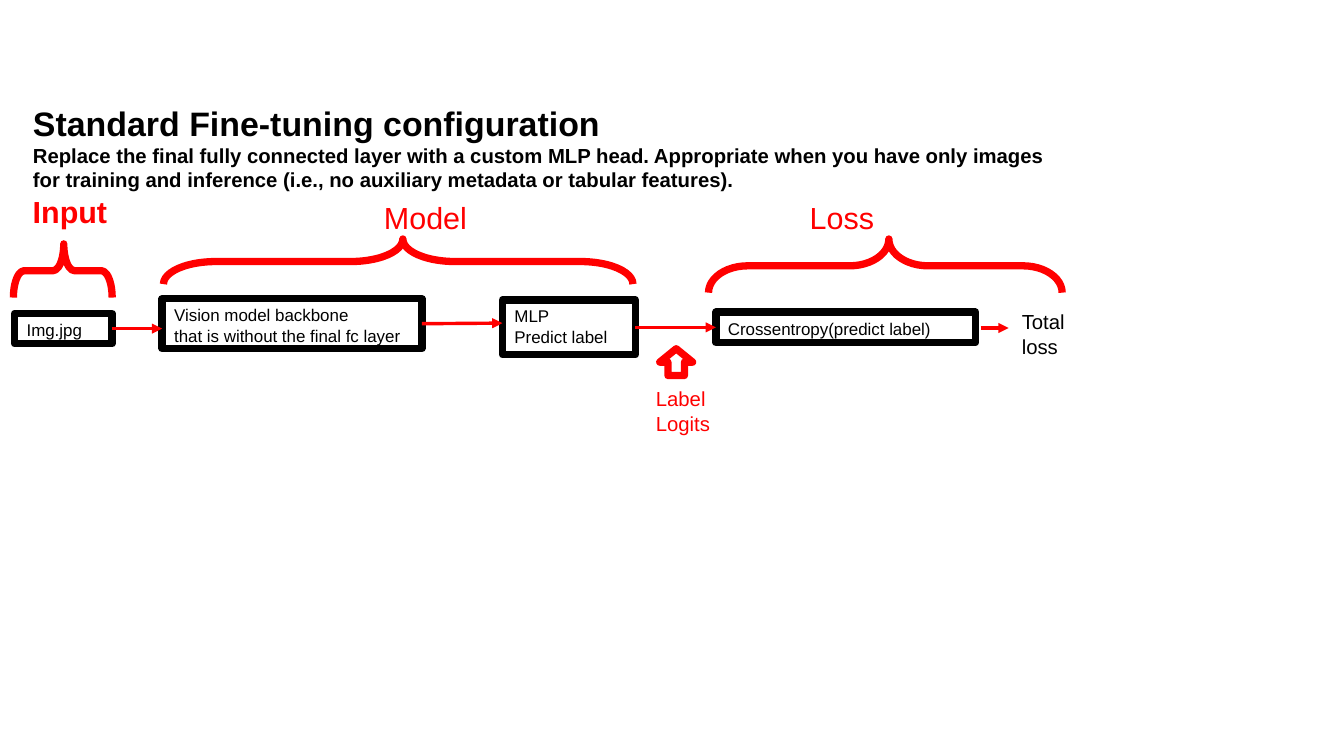
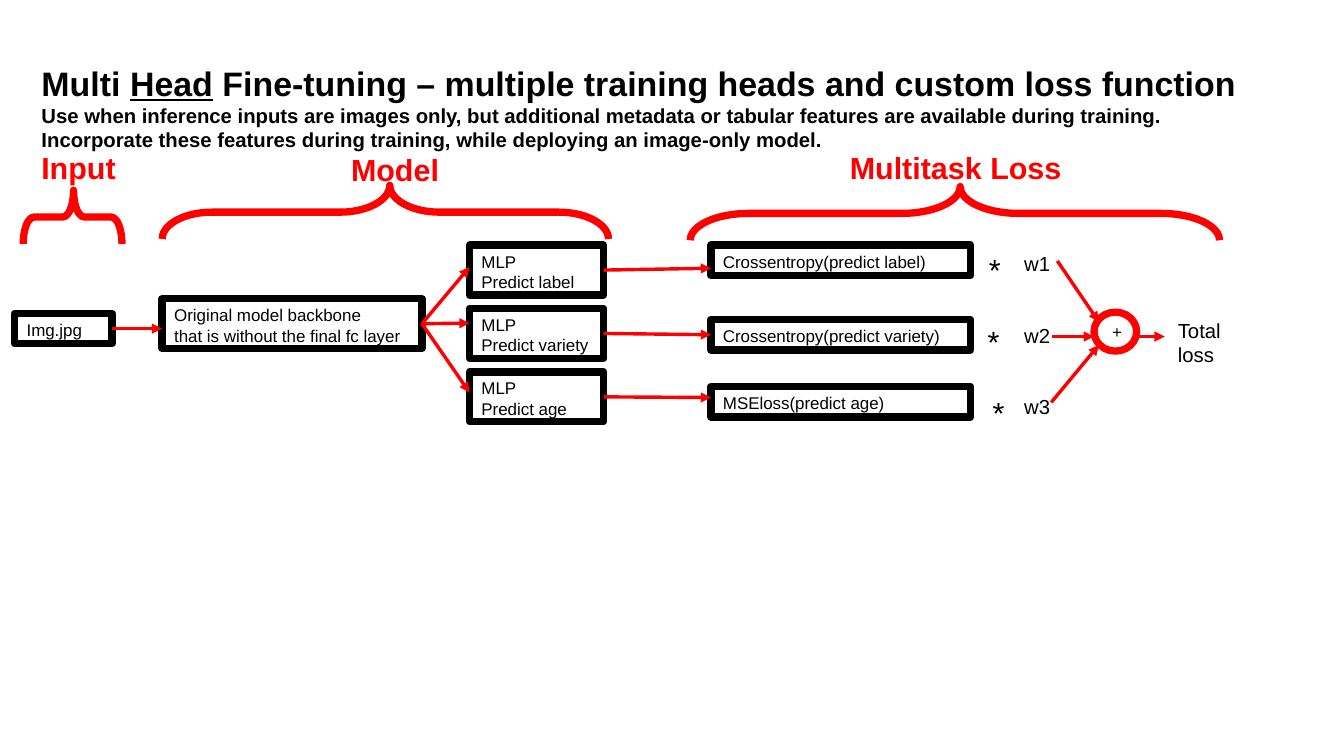
from lxml import etree
from pptx import Presentation
from pptx import util as u
from pptx.dml.color import RGBColor
from pptx.enum import shapes, text
from pptx.oxml.ns import qn

# Shared grid: one cell is a tenth of an inch
CELL = u.Inches(0.1)
COLUMNS, ROWS = 110.2, 62
FONT = "Arial"
BLACK = RGBColor(0x00, 0x00, 0x00)
RED = RGBColor(0xFF, 0x00, 0x00)
THICK = u.Pt(4.31)
TITLE_SIZE, STAGE_SIZE, LABEL_SIZE, NODE_SIZE = 20, 18, 12, 10
BRACE_TIP = 0.51
TITLE_ONLY = 5


def cells(*lengths):
    return [u.Emu(round(length * CELL)) for length in lengths]


def format_runs(paragraph, size, color=BLACK, bold=False):
    for run in paragraph.runs:
        run.font.name = FONT
        run.font.size = u.Pt(size)
        run.font.bold = bold
        run.font.color.rgb = color


def write(shape, content, size, color=BLACK, bold=False,
          align=text.PP_ALIGN.LEFT, anchor=text.MSO_ANCHOR.TOP):
    frame = shape.text_frame
    frame.word_wrap = True
    frame.vertical_anchor = anchor
    frame.text = content
    for paragraph in frame.paragraphs:
        paragraph.alignment = align
        format_runs(paragraph, size, color, bold)


def outline(slide, kind, box, color):
    shape = slide.shapes.add_shape(kind, *cells(*box))
    shape.shadow.inherit = False
    shape.fill.background()
    shape.line.color.rgb = color
    shape.line.width = THICK
    return shape


def node(slide, box, content):
    shape = outline(slide, shapes.MSO_SHAPE.RECTANGLE, box, BLACK)
    write(shape, content, NODE_SIZE)
    return shape


def label(slide, box, content, size=LABEL_SIZE, color=BLACK, bold=False):
    write(slide.shapes.add_textbox(*cells(*box)), content, size, color, bold)


def arrow(slide, start, end):
    """Each end is a (column, row) point or a (shape, side) pair."""
    joined = [hasattr(point[0], "shape_id") for point in (start, end)]
    begin = (0, 0) if joined[0] else start
    finish = (0, 0) if joined[1] else end
    connector = slide.shapes.add_connector(
        shapes.MSO_CONNECTOR.STRAIGHT, *cells(*begin, *finish))
    if joined[0]:
        connector.begin_connect(*start)
    if joined[1]:
        connector.end_connect(*end)
    connector.line.color.rgb = RED
    connector.line.width = u.Pt(0)
    line = connector.line._get_or_add_ln()
    etree.SubElement(line, qn("a:tailEnd"), type="triangle")
    etree.SubElement(connector._element.spPr, qn("a:effectLst"))


def brace(slide, box, curve):
    """Upward brace that fills the box; curve is its bend relative to height."""
    left, top, width, height = box
    upright = (left + (width - height) / 2, top + (height - width) / 2,
               height, width)
    shape = outline(slide, shapes.MSO_SHAPE.RIGHT_BRACE, upright, RED)
    shape.adjustments[0] = curve
    shape.adjustments[1] = BRACE_TIP
    shape.rotation = 270


def stage(slide, name, label_box, brace_box, curve, bold=True):
    label(slide, label_box, name, STAGE_SIZE, RED, bold)
    brace(slide, brace_box, curve)


def heading(slide, box, title_parts, subtitle):
    """Title parts are (words, underlined) pairs."""
    title = slide.shapes.title
    title.left, title.top, title.width, title.height = cells(*box)
    frame = title.text_frame
    frame.auto_size = text.MSO_AUTO_SIZE.NONE
    frame.word_wrap = True
    frame.vertical_anchor = text.MSO_ANCHOR.TOP
    first, second = frame.paragraphs[0], frame.add_paragraph()
    for words, underlined in title_parts:
        run = first.add_run()
        run.text = words
        run.font.underline = underlined
    second.text = subtitle
    for paragraph, size in ((first, TITLE_SIZE), (second, LABEL_SIZE)):
        paragraph.alignment = text.PP_ALIGN.LEFT
        format_runs(paragraph, size, bold=True)


def input_and_backbone(slide, box, backbone_name):
    """Image node at the left of the box, backbone at its right."""
    left, top, width, height = box
    image = node(slide, (left, top + 1.2, 8, 2.5), "Img.jpg")
    backbone = node(slide, (left + width - 21.3, top, 21.3, height),
                    f"{backbone_name}\nthat is without the final fc layer")
    arrow(slide, (image, 3), (left + width - 21.3, top + 2.45))
    return backbone


def total_loss(slide, box):
    """Short arrow that leads to the result, inside the box."""
    left, top, width, height = box
    arrow(slide, (left, top + 2), (left + 2.3, top + 2))
    label(slide, (left + 2.4, top, width - 2.4, height), "Total\nloss")


def standard_slide(presentation):
    slide = presentation.slides.add_slide(
        presentation.slide_layouts[TITLE_ONLY])
    heading(slide, (1.7, 7.9, 86.2, 7.8),
            [("Standard Fine-tuning configuration", False)],
            "Replace the final fully connected layer with a custom MLP head. "
            "Appropriate when you have only images for training and inference "
            "(i.e., no auxiliary metadata or tabular features).")

    # Stages
    stage(slide, "Input", (1.7, 15.3, 8.8, 3.8), (1.1, 20, 8.1, 4.4), 0.2)
    stage(slide, "Model", (30.5, 15.8, 8.8, 3.8),
          (13.4, 19.6, 38.5, 3.7), 1.16, False)
    stage(slide, "Loss", (65.4, 15.8, 8.8, 3.8),
          (58.1, 19.6, 29, 4.4), 0.73, False)

    # Pipeline
    backbone = input_and_backbone(slide, (1.2, 24.5, 33.4, 4.1),
                                  "Vision model backbone")
    head = node(slide, (41.2, 24.6, 10.9, 4.5), "MLP\nPredict label")
    loss = node(slide, (58.7, 25.6, 21.3, 2.5), "Crossentropy(predict label)")
    arrow(slide, (backbone, 3), (41.2, 26.5))
    arrow(slide, (head, 3), (loss, 1))
    total_loss(slide, (80.4, 24.9, 10, 4.7))

    # Marker for the logits
    outline(slide, shapes.MSO_SHAPE.UP_ARROW, (54.1, 28.6, 2.7, 2.2), RED)
    label(slide, (52.8, 31.2, 7.6, 4.7), "Label\nLogits", color=RED)


def task_heads(slide, box, backbone):
    """Three prediction heads stacked at an equal pitch in the box."""
    left, top, width, height = box
    node_height, pitch = 4.1, (height - 4.1) / 2
    heads = []
    for index, (task, entry) in enumerate(
            (("label", 1.8), ("variety", 1.2), ("age", 1.7))):
        row = top + index * pitch
        heads.append(node(slide, (left, row, width, node_height),
                          f"MLP\nPredict {task}"))
        arrow(slide, (backbone, 3), (left, row + entry))
    return heads


def weighted_losses(slide, box, heads):
    """Loss nodes with their weights, then their sum."""
    left, top, width, _ = box
    tasks = (
        # name, node row, weight row, star column, entry row, weight arrow
        ("Crossentropy(predict label)", 0, 0, 21.8, 1.9,
         ((28.4, 1.3), (31.8, 6.3))),
        ("Crossentropy(predict variety)", 6.1, 5.9, 21.7, None,
         ((28, 7.5), (31.4, 7.5))),
        ("MSEloss(predict age)", 11.6, 11.7, 22.1, 12.5,
         ((27.9, 12.9), (31.8, 8.2))),
    )
    for index, (name, row, weight_row, star, entry, ends) in enumerate(tasks):
        loss = node(slide, (left, top + row, 21.3, 2.5), name)
        target = (loss, 1) if entry is None else (left, top + entry)
        arrow(slide, (heads[index], 3), target)
        label(slide, (left + star, top + weight_row, 3, 3.8), "*", STAGE_SIZE)
        label(slide, (left + 24.7, top + weight_row, 7.6, 2.9),
              f"w{index + 1}")
        arrow(slide, *[(left + x, top + y) for x, y in ends])
    total = outline(slide, shapes.MSO_SHAPE.OVAL,
                    (left + 31.4, top + 5.5, 3.5, 3.2), RED)
    write(total, "+", NODE_SIZE, align=text.PP_ALIGN.CENTER,
          anchor=text.MSO_ANCHOR.MIDDLE)
    total_loss(slide, (left + 34.9, top + 5.5, width - 34.9, 4.7))


def multi_head_slide(presentation):
    slide = presentation.slides.add_slide(
        presentation.slide_layouts[TITLE_ONLY])
    heading(slide, (2.4, 4.6, 101.1, 7.8),
            [("Multi ", False), ("Head", True),
             (" Fine-tuning – multiple training heads and custom loss function",
              False)],
            "Use when inference inputs are images only, but additional "
            "metadata or tabular features are available during training. "
            "Incorporate these features during training, while deploying an "
            "image-only model.")

    # Stages
    stage(slide, "Input", (2.4, 11.7, 8.8, 3.8), (1.9, 15.6, 8.1, 4.4), 0.2)
    stage(slide, "Model", (27.8, 11.9, 11.2, 3.8),
          (13.3, 15.2, 36.6, 4.4), 0.93)
    stage(slide, "Multitask Loss", (68.7, 11.7, 19.7, 3.8),
          (56.6, 15.3, 43.4, 4.4), 1.09)

    # Pipeline
    backbone = input_and_backbone(slide, (1.2, 24.5, 33.4, 4.1),
                                  "Original model backbone")
    heads = task_heads(slide, (38.5, 20.1, 11, 14.5), backbone)
    weighted_losses(slide, (58.3, 20.1, 45, 15.5), heads)


def main():
    presentation = Presentation()
    presentation.slide_width, presentation.slide_height = cells(COLUMNS, ROWS)
    standard_slide(presentation)
    multi_head_slide(presentation)
    presentation.save("out.pptx")


if __name__ == "__main__":
    main()
